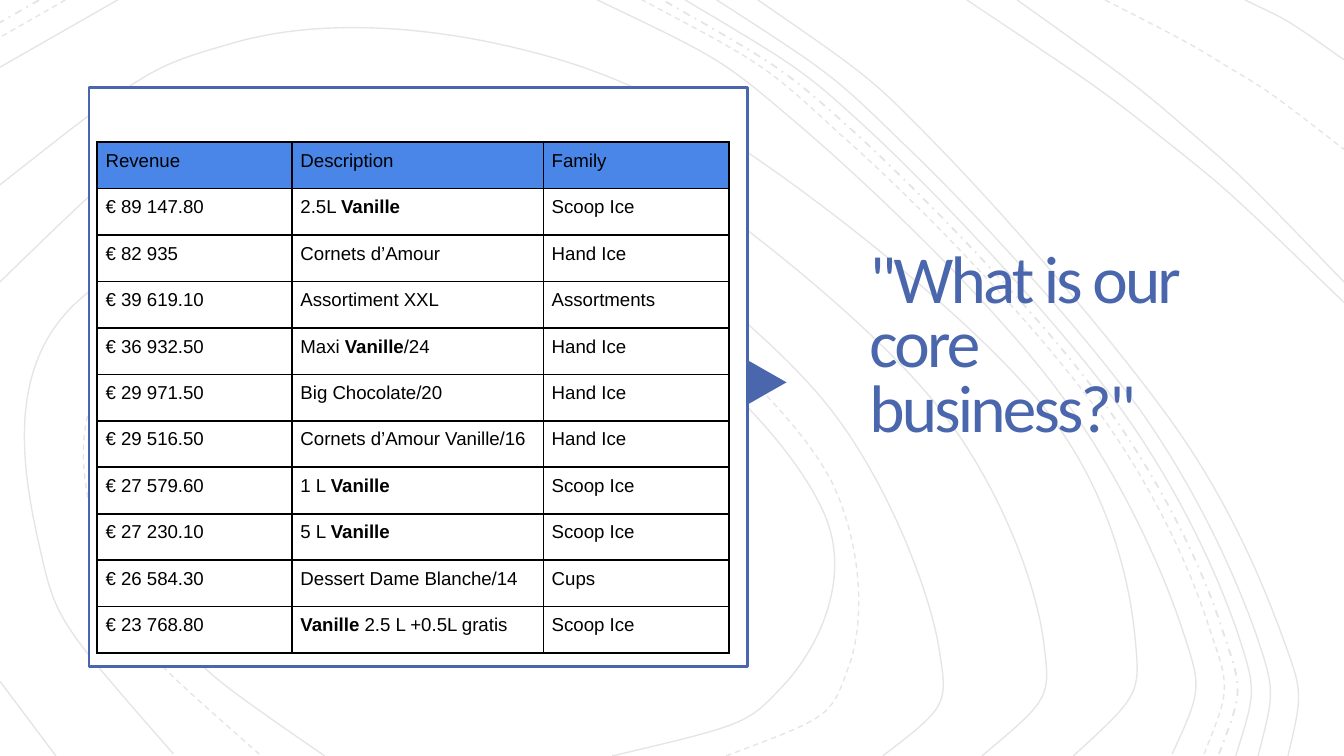
from lxml import etree
from pptx import Presentation, util as u
from pptx.dml.color import RGBColor
from pptx.enum import dml, shapes as kinds, text
from pptx.oxml.ns import qn

COLORS = {"white": "FFFFFF", "black": "000000", "accent": "4A66AC", "header": "4A86E8"}
TITLE = '"What is our core business?"'

# Asterisks enclose bold words
SALES = [
    ("Revenue", "Description", "Family"),
    ("€ 89 147.80", "2.5L *Vanille*", "Scoop Ice"),
    ("€ 82 935", "Cornets d’Amour", "Hand Ice"),
    ("€ 39 619.10", "Assortiment XXL", "Assortments"),
    ("€ 36 932.50", "Maxi *Vanille*/24", "Hand Ice"),
    ("€ 29 971.50", "Big Chocolate/20", "Hand Ice"),
    ("€ 29 516.50", "Cornets d’Amour Vanille/16", "Hand Ice"),
    ("€ 27 579.60", "1 L *Vanille*", "Scoop Ice"),
    ("€ 27 230.10", "5 L *Vanille*", "Scoop Ice"),
    ("€ 26 584.30", "Dessert Dame Blanche/14", "Cups"),
    ("€ 23 768.80", "*Vanille* 2.5 L +0.5L gratis", "Scoop Ice"),
]
COLUMN_WIDTHS = (104.4, 134.6, 99.4)
ROW_HEIGHT = 24.9

# Contour lines: the points each smooth curve runs through
SOLID, DASH, DASH_DOT = dml.MSO_LINE.SOLID, dml.MSO_LINE.DASH, dml.MSO_LINE.DASH_DOT
MIDDLE_LOOP = [(473, 405), (503, 347), (444, 218), (318, 112),
               (222, 82), (37, 166), (21, 292), (93, 404)]
INNER_LOOP = [(328, 405), (419, 368), (445, 285), (369, 189),
              (259, 134), (82, 212), (88, 324), (174, 405)]
OUTER_LOOPS = [
    [(526, 405), (559, 343), (501, 216), (357, 92), (248, 50), (111, 66), (0, 151)],
    [(575, 405), (608, 341), (559, 218), (398, 80), (269, 24), (125, 23), (0, 99)],
]
FIRST_ARC = [(628, 404), (633, 336), (565, 207), (428, 67), (320, 0)]
LAST_ARC = [(690, 405), (687, 341), (627, 225), (504, 80), (406, 0)]
# Position of each arc between the first and the last
ARCS = [(0, SOLID), (0.28, DASH), (0.41, DASH_DOT), (0.55, SOLID), (0.74, SOLID), (1, SOLID)]
# Top-left strokes, by where they leave the top edge
LEFT_STROKES = [(63, SOLID), (35, DASH), (21, DASH_DOT)]
# Top-right strokes: top edge x, right edge y
RIGHT_STROKES = [(518, 162, SOLID), (545, 151, SOLID), (592, 80, DASH), (667, 32, SOLID)]


def blend(first, last, share):
    return [tuple(a + (b - a) * share for a, b in zip(p, q)) for p, q in zip(first, last)]


def bowed(start, end, bow=0.03):
    (x1, y1), (x2, y2) = start, end
    middle = ((x1 + x2) / 2 + (y2 - y1) * bow, (y1 + y2) / 2 - (x2 - x1) * bow)
    return [start, middle, end]


def bezier_points(points):
    """Control points of a smooth curve through the given points."""
    tangents = [((c[0] - a[0]) / 6, (c[1] - a[1]) / 6) for a, c in zip(points, points[2:])]
    tangents = [None, *tangents, None]
    controls = [points[0]]
    for start, end, leaving, arriving in zip(points, points[1:], tangents, tangents[1:]):
        after = leaving and (start[0] + leaving[0], start[1] + leaving[1])
        before = arriving and (end[0] - arriving[0], end[1] - arriving[1])
        controls += [after or before or start, before or after or end, end]
    return controls


def rgb(name):
    return RGBColor.from_string(COLORS[name])


def paint(shape, fill, line=None, width=1.5):
    shape.shadow.inherit = False
    shape.fill.solid()
    shape.fill.fore_color.rgb = rgb(fill)
    if line:
        shape.line.color.rgb = rgb(line)
        shape.line.width = u.Pt(width)
    else:
        shape.line.fill.background()


def add_contour(group, points, dash=SOLID):
    controls = bezier_points(points)
    builder = group.shapes.build_freeform(*controls[0], scale=u.Pt(1))
    builder.add_line_segments(controls[1:], close=False)
    contour = builder.convert_to_shape()
    # Every three segments become one Bezier curve
    segments = list(contour._element.iter(qn("a:lnTo")))
    for first, second, third in zip(*[iter(segments)] * 3):
        first.tag = qn("a:cubicBezTo")
        for segment in (second, third):
            first.append(segment[0])
            segment.getparent().remove(segment)
    contour.shadow.inherit = False
    contour.fill.background()
    contour.line.color.rgb = rgb("black")
    contour.line.width = u.Pt(1 if dash == DASH_DOT else 0.75)
    contour.line.dash_style = dash
    color = next(contour.line._ln.iter(qn("a:srgbClr")))
    etree.SubElement(color, qn("a:alpha"), val="10000")


def add_borders(cell):
    properties = cell._tc.get_or_add_tcPr()
    for position, side in enumerate(("lnL", "lnR", "lnT", "lnB")):
        border = etree.Element(qn(f"a:{side}"), w=str(u.Pt(1)))
        fill = etree.SubElement(border, qn("a:solidFill"))
        etree.SubElement(fill, qn("a:srgbClr"), val=COLORS["black"])
        properties.insert(position, border)


def fill_cell(cell, content, header):
    cell.margin_left = cell.margin_right = u.Pt(4.5)
    cell.margin_top = cell.margin_bottom = u.Pt(4.5)
    if header:
        cell.fill.solid()
        cell.fill.fore_color.rgb = rgb("header")
    else:
        cell.fill.background()
    paragraph = cell.text_frame.paragraphs[0]
    for index, part in enumerate(content.split("*")):
        if part:
            run = paragraph.add_run()
            run.text = part
            run.font.bold = index % 2 == 1
    paragraph.font.size = u.Pt(10)
    paragraph.font.name = "Arial"
    paragraph.font.color.rgb = rgb("black")
    add_borders(cell)


deck = Presentation()
deck.slide_width, deck.slide_height = u.Pt(720), u.Pt(405)
slide = deck.slides.add_slide(deck.slide_layouts[5])

# Background contours
contours = slide.shapes.add_group_shape()
for loop in (MIDDLE_LOOP, INNER_LOOP, *OUTER_LOOPS):
    add_contour(contours, loop)
add_contour(contours, blend(MIDDLE_LOOP, INNER_LOOP, 0.58), DASH)
for share, dash in ARCS:
    add_contour(contours, blend(FIRST_ARC, LAST_ARC, share), dash)
for top_x, dash in LEFT_STROKES:
    add_contour(contours, [(top_x, 0), (0, top_x * 0.57)], dash)
for top_x, right_y, dash in RIGHT_STROKES:
    add_contour(contours, bowed((top_x, 0), (720, right_y)), dash)
add_contour(contours, [(0, 365), (30, 405)])

# Title, in front of the contours
title = slide.shapes.title
slide.shapes._spTree.append(title._element)
title.left, title.top, title.width, title.height = map(u.Pt, (447.8, 136.8, 240.5, 136.8))
frame = title.text_frame
frame.text = TITLE
frame.word_wrap = True
frame.auto_size = text.MSO_AUTO_SIZE.NONE
frame.vertical_anchor = text.MSO_ANCHOR.BOTTOM
frame.margin_left = frame.margin_right = u.Pt(18)
frame.margin_top, frame.margin_bottom = u.Pt(0), u.Pt(35)
heading = frame.paragraphs[0]
heading.alignment = text.PP_ALIGN.LEFT
heading.line_spacing = 0.8
heading.font.size = u.Pt(36)
heading.font.name = "Calibri"
heading.font.color.rgb = rgb("accent")
heading.runs[0]._r.get_or_add_rPr().set("spc", "-150")

# Panel and its pointer
panel = slide.shapes.add_shape(kinds.MSO_SHAPE.RECTANGLE, *map(u.Pt, (47.7, 46.8, 352.8, 310.3)))
paint(panel, "white", "accent")
pointer = slide.shapes.add_shape(kinds.MSO_SHAPE.ISOSCELES_TRIANGLE,
                                 *map(u.Pt, (399, 194.4, 23.8, 20.9)))
pointer.rotation = 90
paint(pointer, "accent")

# Sales table
table = slide.shapes.add_table(
    len(SALES), len(COLUMN_WIDTHS), u.Pt(52.1), u.Pt(76.1),
    u.Pt(sum(COLUMN_WIDTHS)), u.Pt(ROW_HEIGHT * len(SALES))).table
table.first_row = table.horz_banding = False
for column, width in zip(table.columns, COLUMN_WIDTHS):
    column.width = u.Pt(width)
for row_index, record in enumerate(SALES):
    table.rows[row_index].height = u.Pt(ROW_HEIGHT)
    for column_index, content in enumerate(record):
        fill_cell(table.cell(row_index, column_index), content, row_index == 0)

deck.save("out.pptx")
